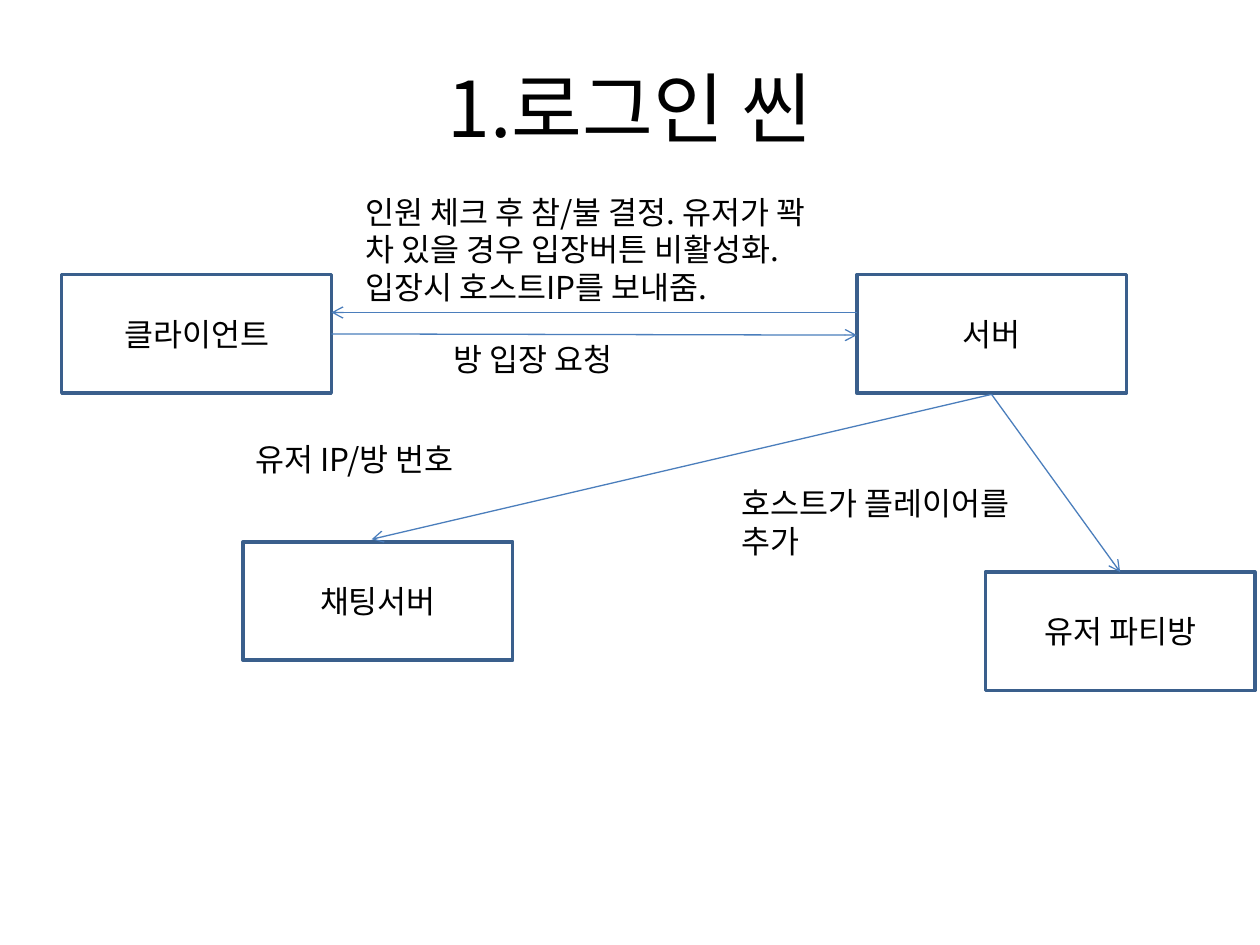
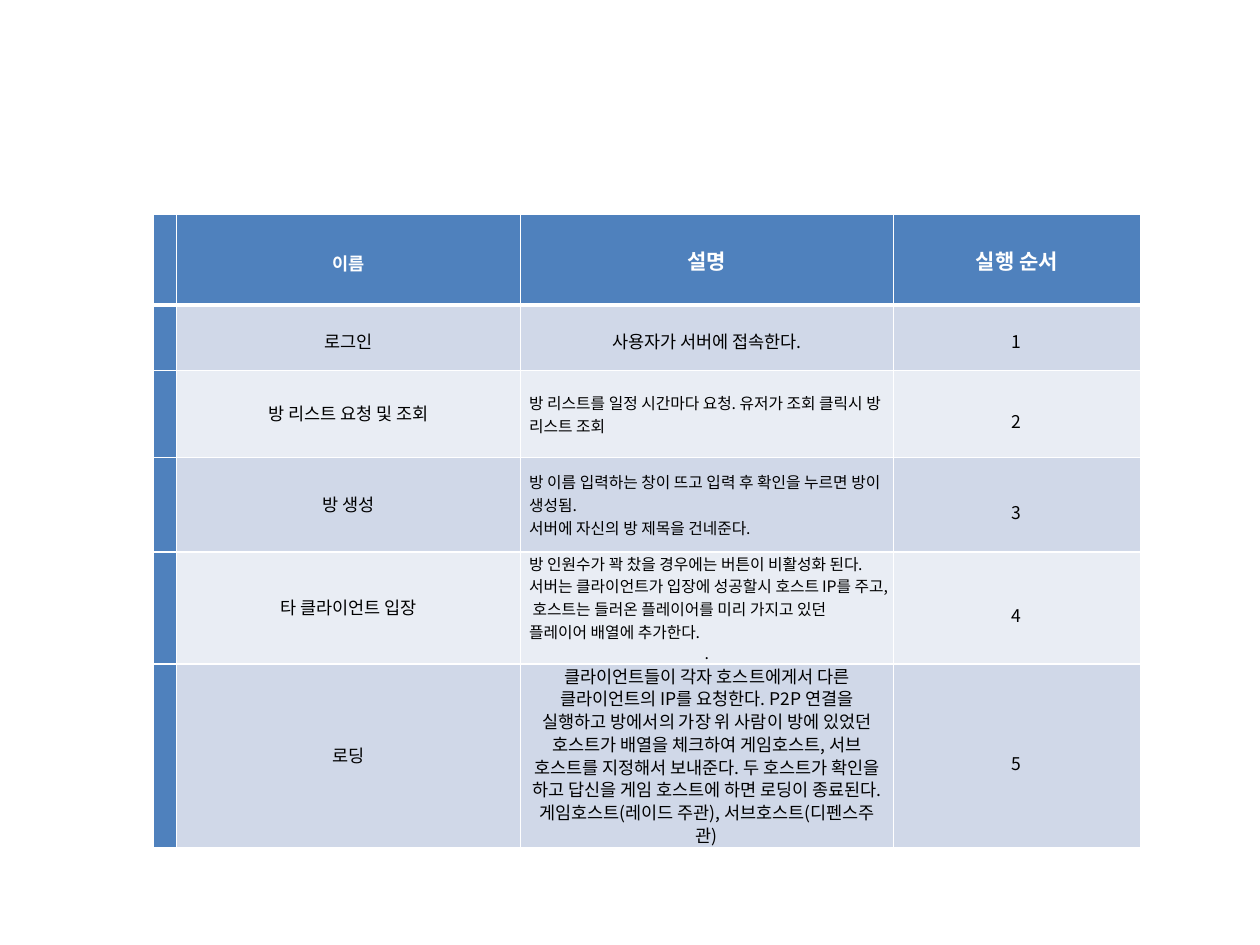
from dataclasses import dataclass

from lxml import etree
from pptx import Presentation
from pptx.dml.color import RGBColor
from pptx.enum import shapes, text
from pptx.oxml import ns
from pptx.util import Inches, Pt

LEFT, CENTER = text.PP_ALIGN.LEFT, text.PP_ALIGN.CENTER
MIDDLE = text.MSO_ANCHOR.MIDDLE


@dataclass(frozen=True)
class Theme:
    """Colours, fonts and type sizes of the deck."""
    font: str = "Noto Sans CJK KR"
    latin: str = "Arial"
    ink: str = "000000"
    white: str = "FFFFFF"
    edge: str = "3A5F8C"
    arrow: str = "4B7EBC"
    head: str = "4F81BD"
    bands: tuple = ("D0D8E8", "E9EDF4")
    title: int = 44
    body: int = 18
    label: int = 12
    cell: int = 10
    small: int = 9


T = Theme()


def rgb(code):
    """Turn a hex code into a colour."""
    return RGBColor.from_string(code)


def sub(parent, tag, **attrs):
    """Append a drawing element to an XML parent."""
    return etree.SubElement(parent, ns.qn(tag), **attrs)


def style(para, size, color=T.ink, bold=False, align=LEFT, font=T.font):
    """Format a paragraph and its runs."""
    para.alignment = align
    for run in para.runs:
        run.font.size = Pt(size)
        run.font.bold = bold
        run.font.color.rgb = rgb(color)
        run.font.name = font
        sub(run.font._element, "a:ea", typeface=T.font)


def title(slide, words, box):
    """Move and format the title placeholder."""
    shape = slide.shapes.title
    shape.left, shape.top, shape.width, shape.height = map(Inches, box)
    frame = shape.text_frame
    frame.text = words
    frame.vertical_anchor = MIDDLE
    style(frame.paragraphs[0], T.title, align=CENTER)


def node(slide, words, x, y, w=2.14, h=0.94):
    """Draw an outlined box with a centred name."""
    shape = slide.shapes.add_shape(
        shapes.MSO_SHAPE.RECTANGLE, *map(Inches, (x, y, w, h)))
    shape.shadow.inherit = False
    shape.fill.background()
    shape.line.color.rgb = rgb(T.edge)
    shape.line.width = Pt(2)
    frame = shape.text_frame
    frame.text = words
    frame.vertical_anchor = MIDDLE
    style(frame.paragraphs[0], T.body, align=CENTER)


def note(slide, words, x, y, w, h):
    """Write a label beside an arrow."""
    frame = slide.shapes.add_textbox(*map(Inches, (x, y, w, h))).text_frame
    frame.word_wrap = True
    frame.auto_size = text.MSO_AUTO_SIZE.SHAPE_TO_FIT_TEXT
    frame.text = words
    style(frame.paragraphs[0], T.body)


def link(slide, x1, y1, x2, y2):
    """Draw an arrow from the first point to the second."""
    line = slide.shapes.add_connector(
        shapes.MSO_CONNECTOR.STRAIGHT, *map(Inches, (x1, y1, x2, y2)))
    line.line.color.rgb = rgb(T.arrow)
    line.line.width = Pt(0.75)
    sub(line.line._get_or_add_ln(), "a:tailEnd", type="arrow")
    sub(line._element.spPr, "a:effectLst")


def flow(slide, x, y):
    """Lay out the login diagram from its top left corner."""
    for words, dx, dy in (("클라이언트", 0, 0.7), ("서버", 6.31, 0.7),
                          ("채팅서버", 1.44, 2.82), ("유저 파티방", 7.33, 3.06)):
        node(slide, words, x + dx, y + dy)
    for x1, y1, x2, y2 in ((2.14, 1.17, 6.31, 1.18), (6.31, 1, 2.14, 1),
                           (7.38, 1.65, 2.46, 2.8), (7.38, 1.65, 8.4, 3.06)):
        link(slide, x + x1, y + y1, x + x2, y + y2)
    for words, dx, dy, w, h in (
            ("방 입장 요청", 3.01, 1.17, 2.28, 0.4),
            ("인원 체크 후 참/불 결정. 유저가 꽉 차 있을 경우 입장버튼 비활성화. "
             "입장시 호스트IP를 보내줌.", 2.31, 0, 3.85, 1.01),
            ("유저 IP/방 번호", 1.44, 1.96, 2.09, 0.4),
            ("호스트가 플레이어를 추가", 5.3, 2.31, 2.76, 0.71)):
        note(slide, words, x + dx, y + dy, w, h)


def border(cell, low):
    """Give a cell white edges, the bottom one of its own width."""
    props = cell._tc.get_or_add_tcPr()
    for spot, (side, width) in enumerate(
            (("L", 1), ("R", 1), ("T", 1), ("B", low))):
        line = etree.Element(ns.qn("a:ln" + side), w=str(Pt(width)))
        sub(sub(line, "a:solidFill"), "a:srgbClr", val=T.white)
        props.insert(spot, line)


def fill(cell, words, color, low=1):
    """Set the text, fill, margins and edges of a cell."""
    cell.text_frame.text = words
    cell.vertical_anchor = MIDDLE
    cell.margin_left = cell.margin_right = Inches(0.07)
    cell.margin_top = cell.margin_bottom = 0
    cell.fill.solid()
    cell.fill.fore_color.rgb = rgb(color)
    border(cell, low)
    return cell.text_frame.paragraphs


STEPS = (
    ("로그인", "사용자가 서버에 접속한다."),
    ("방 리스트 요청 및 조회",
     "방 리스트를 일정 시간마다 요청. 유저가 조회 클릭시 방 리스트 조회"),
    ("방 생성",
     "방 이름 입력하는 창이 뜨고 입력 후 확인을 누르면 방이 생성됨. \n"
     "서버에 자신의 방 제목을 건네준다."),
    ("타 클라이언트 입장",
     "방 인원수가 꽉 찼을 경우에는 버튼이 비활성화 된다. 서버는 클라이언트가 "
     "입장에 성공할시 호스트 IP를 주고, 호스트는 들러온 플레이어를 미리 가지고 "
     "있던 플레이어 배열에 추가한다.\n."),
    ("로딩",
     "클라이언트들이 각자 호스트에게서 다른 클라이언트의 IP를 요청한다. P2P "
     "연결을 실행하고 방에서의 가장 위 사람이 방에 있었던 호스트가 배열을 "
     "체크하여 게임호스트, 서브 호스트를 지정해서 보내준다. 두 호스트가 확인을 "
     "하고 답신을 게임 호스트에 하면 로딩이 종료된다.\n"
     "게임호스트(레이드 주관), 서브호스트(디펜스주관)"),
)


def steps(slide, x, y, cols, rows):
    """Build the table of steps in their running order."""
    box = map(Inches, (x, y, sum(cols), sum(rows)))
    table = slide.shapes.add_table(len(rows), len(cols), *box).table
    for col, w in zip(table.columns, cols):
        col.width = Inches(w)
    for row, h in zip(table.rows, rows):
        row.height = Inches(h)

    for c, words in enumerate(("", "이름", "설명", "실행 순서")):
        para = fill(table.cell(0, c), words, T.head, 3)[0]
        size, font = (T.cell, T.latin) if c == 1 else (T.label, T.font)
        style(para, size, T.white, True, CENTER, font)
        para.line_spacing = Pt(18)

    for r, (name, about) in enumerate(STEPS, 1):
        band = T.bands[(r - 1) % 2]
        first = r == 1
        fill(table.cell(r, 0), "", T.head)
        for c, words, gap in ((1, name, 0.9), (2, about, 0.9), (3, str(r), 1.6)):
            dense = c == 2 and 2 <= r <= 4
            for para in fill(table.cell(r, c), words, band):
                flat = dense and para.text != "."
                style(para, T.small if dense else T.cell,
                      align=LEFT if flat else CENTER)
                if not flat:
                    para.line_spacing = Pt(18) if first else gap


def main():
    """Build and save the deck."""
    deck = Presentation()
    deck.slide_width, deck.slide_height = Inches(10), Inches(7.5)

    login = deck.slides.add_slide(deck.slide_layouts[5])
    title(login, "1.로그인 씬", (0.5, 0.3, 9, 1.09))
    flow(login, 0.49, 1.48)

    order = deck.slides.add_slide(deck.slide_layouts[6])
    steps(order, 1.22, 1.7, (0.18, 2.73, 2.96, 1.96),
          (0.72, 0.52, 0.69, 0.75, 0.89, 1.46))

    deck.save("out.pptx")


main()
